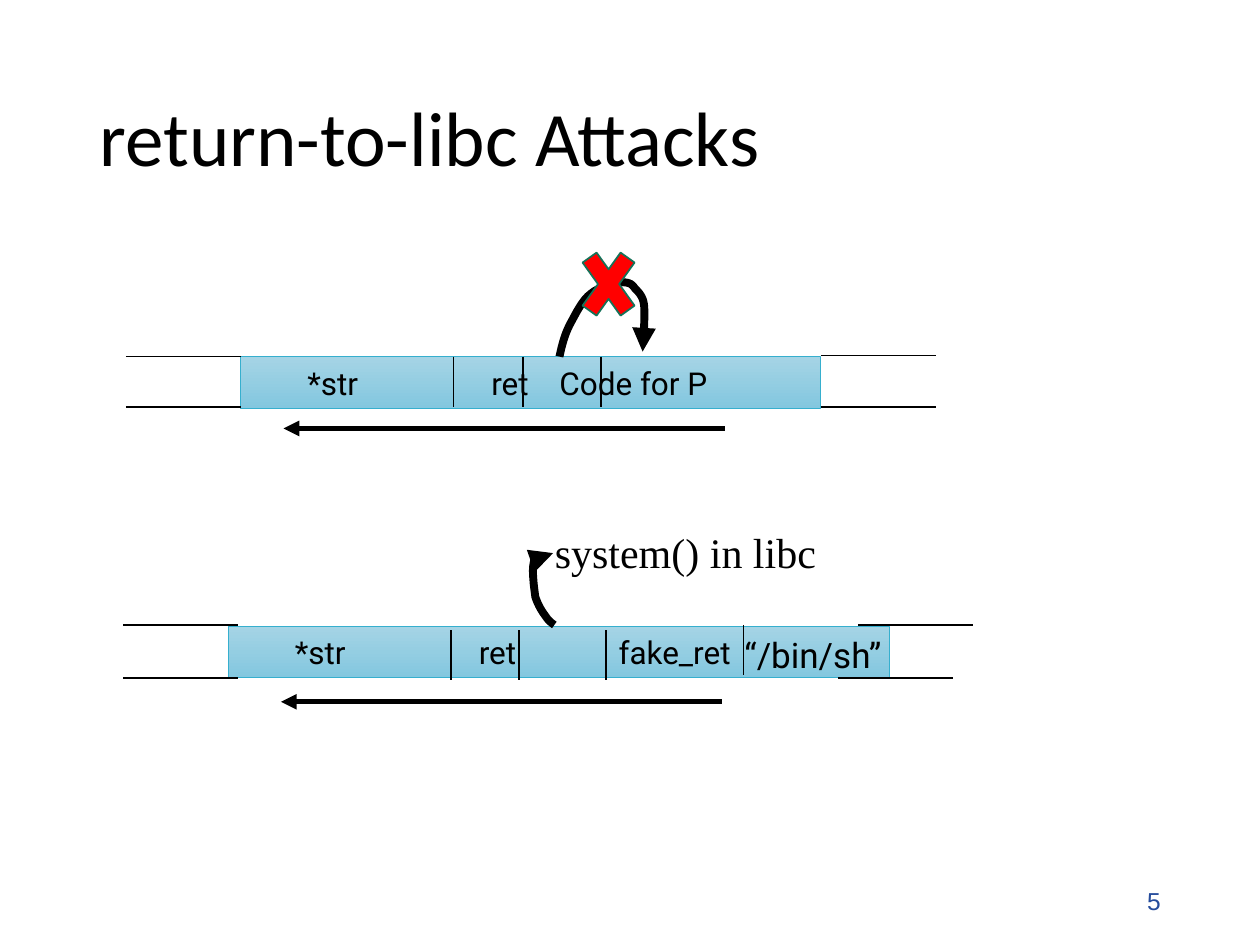
from lxml.etree import SubElement
from pptx import Presentation
from pptx.dml.color import RGBColor
from pptx.enum.shapes import MSO_CONNECTOR, MSO_SHAPE
from pptx.enum.text import MSO_ANCHOR, PP_ALIGN
from pptx.oxml.ns import qn
from pptx.util import Inches, Pt

BLACK = "000000"
BAR_HEIGHT = 0.41
WIRE_LENGTH = 0.91
LABEL_INDENT = 0.53
CURVE_STEPS = 8


def color(hex_string):
    return RGBColor.from_string(hex_string)


def format_text(text_frame, size, font_name, hex_string=BLACK,
                align=PP_ALIGN.LEFT, anchor=MSO_ANCHOR.TOP):
    text_frame.word_wrap = True
    text_frame.vertical_anchor = anchor
    paragraph = text_frame.paragraphs[0]
    paragraph.alignment = align
    font = paragraph.runs[0].font
    font.size = Pt(size)
    font.name = font_name
    font.color.rgb = color(hex_string)


def add_label(slide, box, text, *style, **options):
    label = slide.shapes.add_textbox(*map(Inches, box))
    label.text_frame.text = text
    format_text(label.text_frame, *style, **options)


def add_arrowhead(shape):
    SubElement(shape.line._get_or_add_ln(), qn("a:tailEnd"), type="triangle")


def add_line(slide, start, end, width=0.75):
    line = slide.shapes.add_connector(
        MSO_CONNECTOR.STRAIGHT, *map(Inches, (*start, *end)))
    line.line.color.rgb = color(BLACK)
    line.line.width = Pt(width)
    SubElement(line._element.spPr, qn("a:effectLst"))
    return line


def bezier_points(start, curves):
    """Sample a chain of cubic curves, each given as two controls and an end."""
    points = [start]
    for first, second, end in curves:
        corners = (points[-1], first, second, end)
        for step in range(1, CURVE_STEPS + 1):
            t = step / CURVE_STEPS
            weights = ((1 - t) ** 3, 3 * t * (1 - t) ** 2, 3 * t * t * (1 - t), t ** 3)
            points.append(tuple(
                sum(weight * corner[axis] for weight, corner in zip(weights, corners))
                for axis in (0, 1)))
    return points


def add_curved_arrow(slide, left, top, start, curves):
    points = [(Inches(left + x), Inches(top + y))
              for x, y in bezier_points(start, curves)]
    builder = slide.shapes.build_freeform(*points[0])
    builder.add_line_segments(points[1:], close=False)
    arrow = builder.convert_to_shape()
    arrow.shadow.inherit = False
    arrow.fill.background()
    arrow.line.color.rgb = color(BLACK)
    arrow.line.width = Pt(4.5)
    add_arrowhead(arrow)


def add_bar(slide, left, top, width, labels, tab_stops):
    bar = slide.shapes.add_shape(
        MSO_SHAPE.RECTANGLE, *map(Inches, (left, top, width, BAR_HEIGHT)))
    bar.shadow.inherit = False
    bar.fill.gradient()
    bar.fill.gradient_angle = 270
    for stop, hex_string, position in zip(
            bar.fill.gradient_stops, ("A5D4E5", "83C7DF"), (0, 1)):
        stop.color.rgb = color(hex_string)
        stop.position = position
    bar.line.color.rgb = color("36AFCE")
    bar.line.width = Pt(0.5)

    text_frame = bar.text_frame
    text_frame.margin_left = Inches(LABEL_INDENT)
    text_frame.text = "\t".join(labels)
    properties = text_frame.paragraphs[0]._p.get_or_add_pPr()
    tab_list = SubElement(properties, qn("a:tabLst"))
    for position in tab_stops:
        SubElement(tab_list, qn("a:tab"), pos=str(Inches(position)), algn="l")
    format_text(text_frame, 18, "Roboto", anchor=MSO_ANCHOR.MIDDLE)


def add_memory_row(slide, left, top, width, labels, tab_stops,
                   wires, dividers, growth_arrow):
    """Draw a stack bar; wires, dividers and arrow are offsets from its corner."""
    add_bar(slide, left, top, width, labels, tab_stops)
    for x, y in wires:
        add_line(slide, (left + x, top + y), (left + x + WIRE_LENGTH, top + y))
    for x, y in dividers:
        add_line(slide, (left + x, top + y), (left + x, top + y + 0.4))
    arrow_start, arrow_end, arrow_y = growth_arrow
    arrow = add_line(slide, (left + arrow_start, top + arrow_y),
                     (left + arrow_end, top + arrow_y), 3)
    add_arrowhead(arrow)


def add_blocked_attack(slide, left, top):
    add_memory_row(
        slide, left, top, 4.6, ("*str", "ret", "Code for P"), (1.46, 2.0),
        wires=((-0.91, 0), (-0.91, 0.4), (4.61, -0.01), (4.61, 0.4)),
        dividers=((1.69, 0), (2.24, 0), (2.86, 0)),
        growth_arrow=(3.84, 0.34, 0.57))
    add_curved_arrow(slide, left + 2.53, top, (0, 0), (
        ((0.02, -0.09), (0.04, -0.17), (0.08, -0.25)),
        ((0.13, -0.34), (0.18, -0.45), (0.25, -0.5)),
        ((0.32, -0.56), (0.44, -0.58), (0.5, -0.59)),
        ((0.56, -0.59), (0.58, -0.57), (0.6, -0.54)),
        ((0.63, -0.51), (0.66, -0.48), (0.67, -0.42)),
        ((0.68, -0.36), (0.67, -0.23), (0.67, -0.17)),
        ((0.67, -0.11), (0.66, -0.07), (0.66, -0.04))))
    cross = slide.shapes.add_shape(
        MSO_SHAPE.MATH_MULTIPLY,
        *map(Inches, (left + 2.63, top - 0.98, 0.58, 0.81)))
    cross.shadow.inherit = False
    cross.fill.solid()
    cross.fill.fore_color.rgb = color("FF0000")
    cross.line.color.rgb = color("157259")
    cross.line.width = Pt(1)


def add_libc_attack(slide, left, top):
    add_memory_row(
        slide, left, top, 5.25, ("*str", "ret", "fake_ret"), (1.46, 2.57),
        wires=((-0.83, -0.01), (-0.83, 0.41), (5, -0.01), (4.84, 0.41)),
        dividers=((1.77, 0.03), (2.31, 0.03), (3, 0.03), (4.09, -0.01)),
        growth_arrow=(3.92, 0.42, 0.6))
    add_curved_arrow(slide, left + 2.59, top, (0, -0.01), (
        ((-0.03, -0.03), (-0.05, -0.05), (-0.07, -0.08)),
        ((-0.1, -0.12), (-0.13, -0.17), (-0.15, -0.23)),
        ((-0.16, -0.29), (-0.17, -0.39), (-0.17, -0.44)),
        ((-0.17, -0.49), (-0.16, -0.51), (-0.16, -0.53)),
        ((-0.15, -0.55), (-0.14, -0.58), (-0.12, -0.59)),
        ((-0.1, -0.59), (-0.07, -0.59), (-0.05, -0.59)),
        ((-0.03, -0.58), (-0.02, -0.58), (-0.01, -0.58))))
    add_label(slide, (left + 2.17, top - 0.84, 2.92, 0.5), "system() in libc",
              24, "Times New Roman", align=PP_ALIGN.CENTER)
    add_label(slide, (left + 4, top + 0.01, 1.5, 0.44), "“/bin/sh”", 20, "Roboto")


def add_title(slide, left, top, width, height):
    title = slide.shapes.title
    title.left, title.top = Inches(left), Inches(top)
    title.width, title.height = Inches(width), Inches(height)
    title.text_frame.text = "return-to-libc Attacks"
    title.text_frame.paragraphs[0].line_spacing = 0.9
    format_text(title.text_frame, 44, "Calibri", anchor=MSO_ANCHOR.MIDDLE)


def main():
    presentation = Presentation()
    presentation.slide_width = Inches(10)
    presentation.slide_height = Inches(7.5)
    slide = presentation.slides.add_slide(presentation.slide_layouts[5])
    add_title(slide, 0.69, 0.4, 8.62, 1.45)
    add_blocked_attack(slide, 1.91, 2.83)
    add_libc_attack(slide, 1.81, 4.97)
    add_label(slide, (7.06, 6.95, 2.25, 0.4), "5", 14, "Arial", "254C9C",
              align=PP_ALIGN.RIGHT, anchor=MSO_ANCHOR.MIDDLE)
    presentation.save("out.pptx")


if __name__ == "__main__":
    main()
